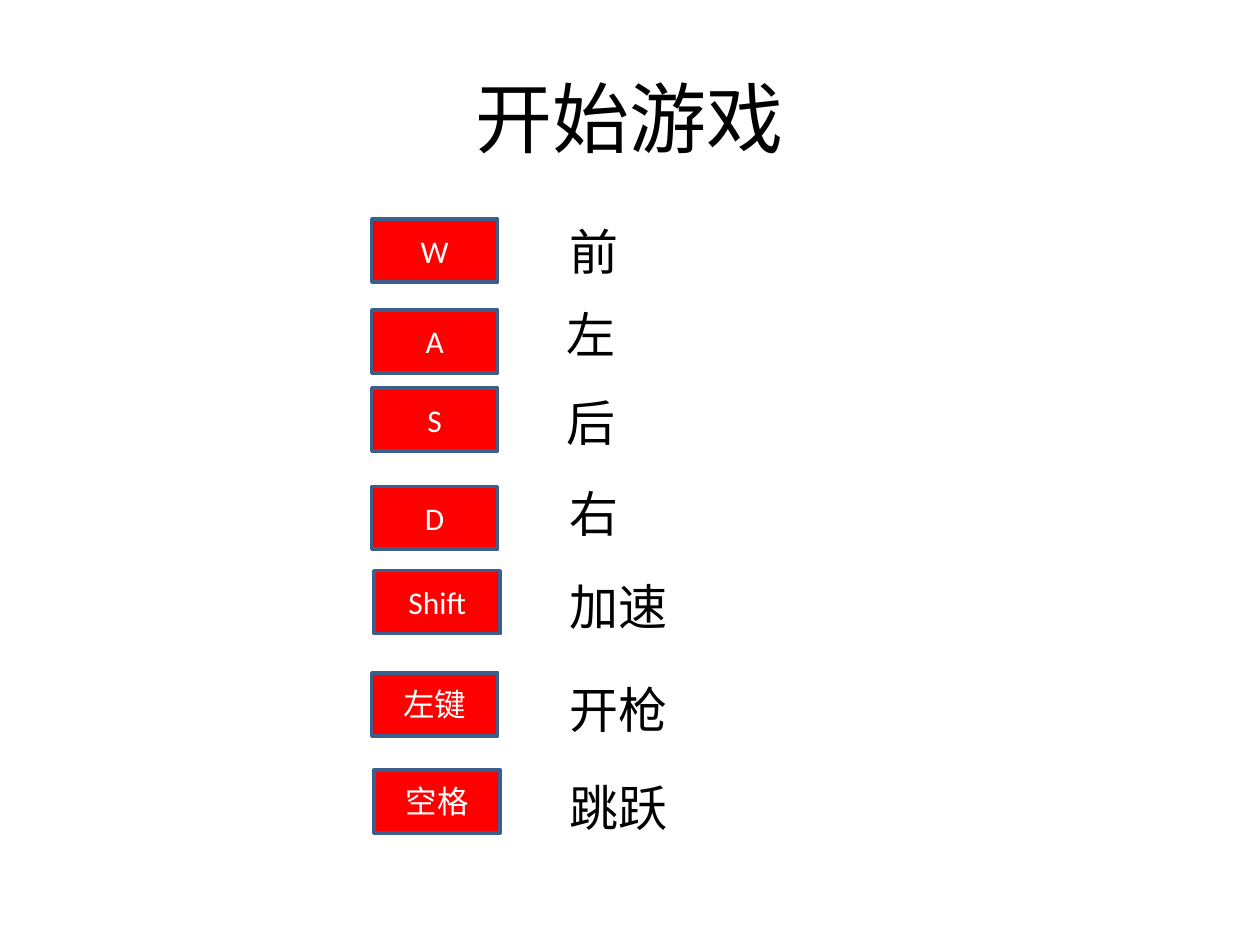
from pptx import Presentation
from pptx.dml.color import RGBColor
from pptx.enum.shapes import MSO_SHAPE
from pptx.enum.text import MSO_ANCHOR, MSO_AUTO_SIZE, PP_ALIGN
from pptx.util import Inches, Pt

RECT = MSO_SHAPE.RECTANGLE
TOP, MIDDLE = MSO_ANCHOR.TOP, MSO_ANCHOR.MIDDLE
LEFT, CENTER = PP_ALIGN.LEFT, PP_ALIGN.CENTER
GROW = MSO_AUTO_SIZE.SHAPE_TO_FIT_TEXT

FONT = "Calibri"
BLACK, WHITE, RED, BLUE = "000000", "FFFFFF", "FF0000", "3A5F8C"
KEY_SIZE = (1, 0.5)
ACTION_SIZE = (1, 0.57)

# key, key left, key top, action, action left, action top
CONTROLS = [
    ("W", 2.95, 1.74, "前", 4.42, 1.71),
    ("A", 2.95, 2.46, "左", 4.4, 2.37),
    ("S", 2.95, 3.08, "后", 4.4, 3.07),
    ("D", 2.95, 3.86, "右", 4.42, 3.79),
    ("Shift", 2.97, 4.53, "加速", 4.42, 4.53),
    ("左键", 2.95, 5.34, "开枪", 4.42, 5.34),
    ("空格", 2.97, 6.11, "跳跃", 4.42, 6.12),
]


def color(value):
    return RGBColor.from_string(value)


def write(s, text, size, ink, align, anchor):
    tf = s.text_frame
    for name, value in {"word_wrap": True, "vertical_anchor": anchor}.items():
        setattr(tf, name, value)
    p = tf.paragraphs[0]
    p.alignment = align
    r = p.add_run()
    r.text = text
    for name, value in {"name": FONT, "size": Pt(size)}.items():
        setattr(r.font, name, value)
    r.font.color.rgb = color(ink)


def add_text(slide, box, text, size, align, anchor):
    s = slide.shapes.add_textbox(*map(Inches, box))
    write(s, text, size, BLACK, align, anchor)
    return s


def add_title(slide, box, text):
    add_text(slide, box, text, 44, CENTER, MIDDLE)


def add_key(slide, box, text):
    s = slide.shapes.add_shape(RECT, *map(Inches, box))
    s.shadow.inherit = False
    s.fill.solid()
    s.fill.fore_color.rgb = color(RED)
    s.line.color.rgb = color(BLUE)
    s.line.width = Pt(2)
    write(s, text, 18, WHITE, CENTER, MIDDLE)


def add_action(slide, box, text):
    s = add_text(slide, box, text, 28, LEFT, TOP)
    s.text_frame.auto_size = GROW


def main():
    prs = Presentation()
    prs.slide_width, prs.slide_height = Inches(10), Inches(7.5)
    slide = prs.slides.add_slide(prs.slide_layouts[6])

    # Title
    add_title(slide, (0.5, 0.3, 9, 1.25), "开始游戏")

    # Keys with the action each one triggers
    for key, key_x, key_y, action, action_x, action_y in CONTROLS:
        add_key(slide, (key_x, key_y, *KEY_SIZE), key)
        add_action(slide, (action_x, action_y, *ACTION_SIZE), action)

    prs.save("out.pptx")


if __name__ == "__main__":
    main()
